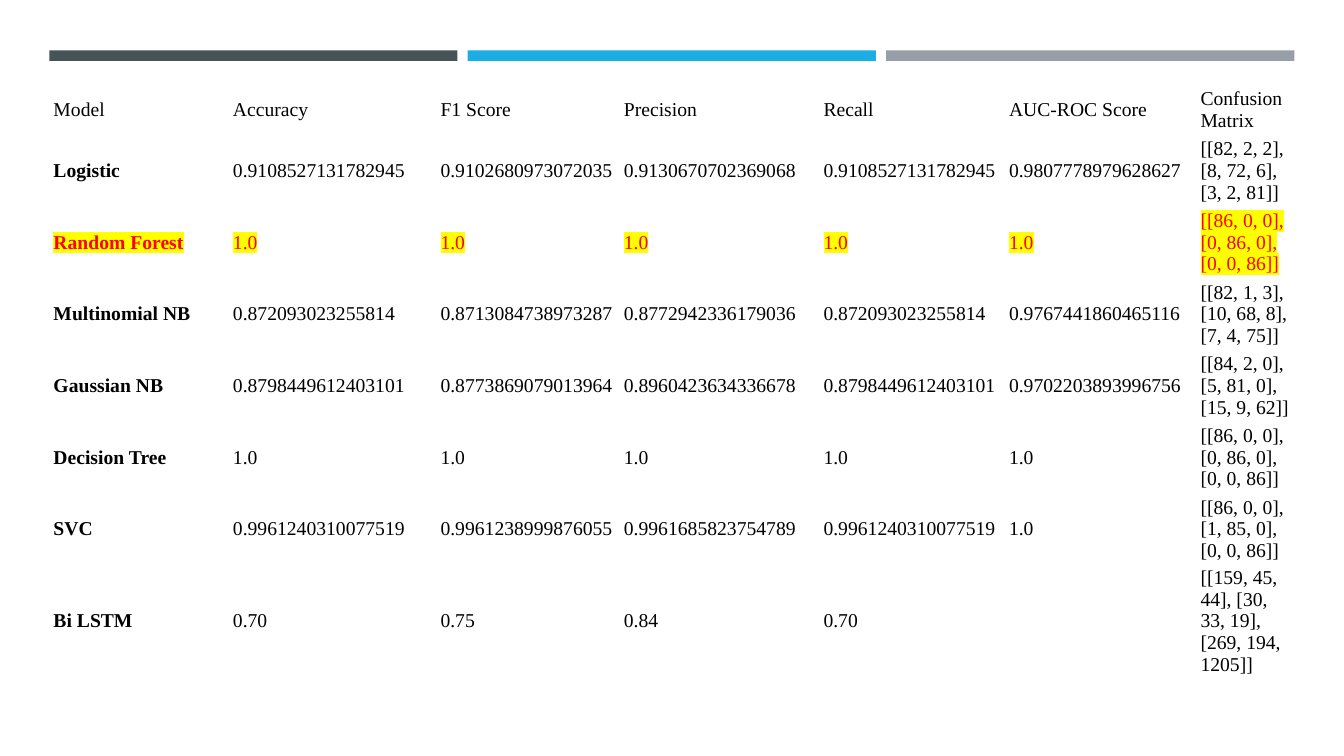
"""Build a slide with a table comparing the scores of seven classifiers."""
from lxml.etree import SubElement
from pptx import Presentation
from pptx.dml.color import RGBColor
from pptx.enum.shapes import MSO_SHAPE
from pptx.enum.text import MSO_ANCHOR
from pptx.oxml.ns import qn
from pptx.util import Pt

COLORS = {
    "dark": "465359",
    "blue": "1CADE4",
    "gray": "969FA7",
    "text": "000000",
    "best": "FF0000",
    "marker": "FFFF00",
}
FONT = "Times New Roman"
BEST_MODEL = "Random Forest"
COL_WIDTHS = [128.2, 148.3, 131, 142.6, 132.5, 136.8, 75.6]
ROW_HEIGHTS = [36] + [51.2] * 6 + [67]
ROWS = [
    ["Model", "Accuracy", "F1 Score", "Precision", "Recall",
     "AUC-ROC Score", "Confusion Matrix"],
    ["Logistic", "0.9108527131782945", "0.9102680973072035",
     "0.9130670702369068", "0.9108527131782945", "0.9807778979628627",
     "[[82, 2, 2], [8, 72, 6], [3, 2, 81]]"],
    [BEST_MODEL, "1.0", "1.0", "1.0", "1.0", "1.0",
     "[[86, 0, 0], [0, 86, 0], [0, 0, 86]]"],
    ["Multinomial NB", "0.872093023255814", "0.8713084738973287",
     "0.8772942336179036", "0.872093023255814", "0.9767441860465116",
     "[[82, 1, 3], [10, 68, 8], [7, 4, 75]]"],
    ["Gaussian NB", "0.8798449612403101", "0.8773869079013964",
     "0.8960423634336678", "0.8798449612403101", "0.9702203893996756",
     "[[84, 2, 0], [5, 81, 0], [15, 9, 62]]"],
    ["Decision Tree", "1.0", "1.0", "1.0", "1.0", "1.0",
     "[[86, 0, 0], [0, 86, 0], [0, 0, 86]]"],
    ["SVC", "0.9961240310077519", "0.9961238999876055",
     "0.9961685823754789", "0.9961240310077519", "1.0",
     "[[86, 0, 0], [1, 85, 0], [0, 0, 86]]"],
    ["Bi LSTM", "0.70", "0.75", "0.84", "0.70", "",
     "[[159, 45, 44], [30, 33, 19], [269, 194, 1205]]"],
]


def rgb(name):
    """Return the named colour."""
    return RGBColor.from_string(COLORS[name])


def add_bar(slide, left, color):
    """Add one of the flat bars along the top."""
    sp = slide.shapes.add_shape(
        MSO_SHAPE.RECTANGLE, Pt(left), Pt(36), Pt(291.6), Pt(7.5))
    sp.shadow.inherit = False
    sp.fill.solid()
    sp.fill.fore_color.rgb = rgb(color)
    sp.line.fill.background()


def highlight(r, color):
    """Mark a run with a highlight, placed right after its text fill."""
    rpr = r.font._element
    mark = SubElement(rpr, qn("a:highlight"))
    SubElement(mark, qn("a:srgbClr"), val=COLORS[color])
    rpr.find(qn("a:solidFill")).addnext(mark)


def fill_cell(cell, text, bold, best):
    """Write and format one table cell."""
    cell.fill.background()
    cell.vertical_anchor = MSO_ANCHOR.MIDDLE
    cell.margin_left = cell.margin_right = Pt(3.6)
    cell.margin_top = cell.margin_bottom = Pt(1.4)
    cell.text_frame.text = text
    p = cell.text_frame.paragraphs[0]
    p.font.size = Pt(14)
    for r in p.runs:
        r.font.name = FONT
        r.font.size = Pt(14)
        r.font.bold = bold
        r.font.color.rgb = rgb("best" if best else "text")
        if best:
            highlight(r, "marker")


def add_score_table(slide):
    """Add the plain table of model scores."""
    frame = slide.shapes.add_table(
        len(ROWS), len(COL_WIDTHS), Pt(34.6), Pt(60.5),
        Pt(sum(COL_WIDTHS)), Pt(sum(ROW_HEIGHTS)))
    table = frame.table
    table.first_row = table.horz_banding = False
    for column, width in zip(table.columns, COL_WIDTHS):
        column.width = Pt(width)
    for i, (row, height) in enumerate(zip(ROWS, ROW_HEIGHTS)):
        table.rows[i].height = Pt(height)
        for j, text in enumerate(row):
            fill_cell(table.cell(i, j), text, i > 0 and j == 0,
                      row[0] == BEST_MODEL)
    frame.height = Pt(448.6)


def main():
    """Build and save the slide."""
    prs = Presentation()
    prs.slide_width, prs.slide_height = Pt(960), Pt(540)
    slide = prs.slides.add_slide(prs.slide_layouts[6])
    for i, color in enumerate(["dark", "blue", "gray"]):
        add_bar(slide, 35.2 + 298.9 * i, color)
    add_score_table(slide)
    prs.save("out.pptx")


if __name__ == "__main__":
    main()
